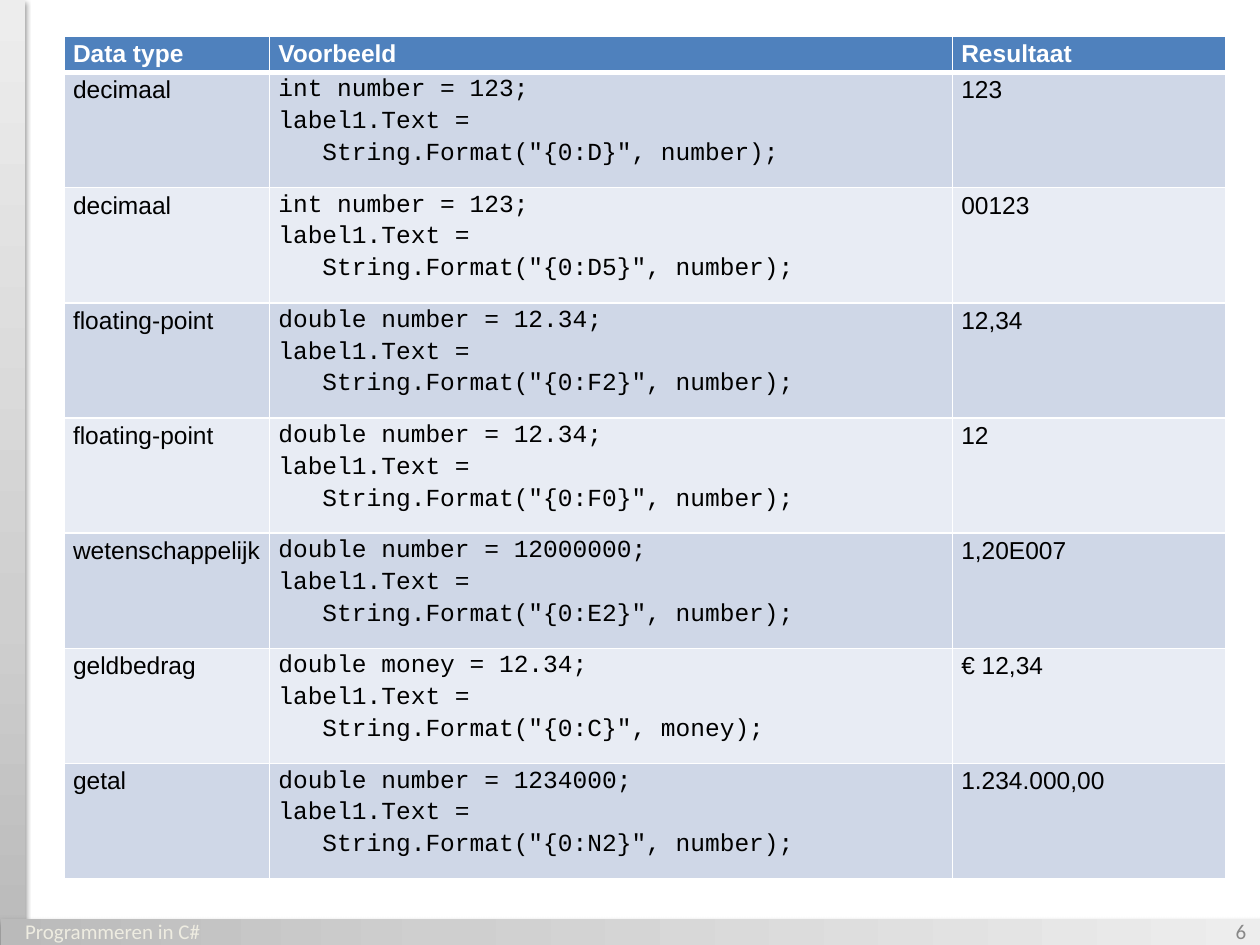
import dataclasses

import lxml.etree
import pptx
import pptx.dml.color
import pptx.enum.shapes
import pptx.enum.text
import pptx.oxml
import pptx.oxml.ns
import pptx.util


@dataclasses.dataclass(frozen=True)
class Theme:
    header_fill: str = "4F81BD"
    band_fills: tuple = ("CFD7E7", "E8ECF4")
    border: str = "FFFFFF"
    header_text: str = "FFFFFF"
    body_text: str = "000000"
    footer_text: str = "EEECE1"
    number_text: str = "888888"
    bar_stops: tuple = ((0, "BABABA"), (35, "CFCFCF"), (100, "EDEDED"))
    body_font: str = "Arial"
    code_font: str = "Courier New"
    footer_font: str = "Calibri"
    table_size: int = 14
    footer_size: int = 12


THEME = Theme()
WIDTH = pptx.util.Inches(10)
HEIGHT = pptx.util.Inches(7.5)
HEADINGS = ("Data type", "Voorbeeld", "Resultaat")
EXAMPLES = (
    ("decimaal", "int", "number", "123", "D", "123"),
    ("decimaal", "int", "number", "123", "D5", "00123"),
    ("floating-point", "double", "number", "12.34", "F2", "12,34"),
    ("floating-point", "double", "number", "12.34", "F0", "12"),
    ("wetenschappelijk", "double", "number", "12000000", "E2", "1,20E007"),
    ("geldbedrag", "double", "money", "12.34", "C", "€ 12,34"),
    ("getal", "double", "number", "1234000", "N2", "1.234.000,00"),
)


def across(percent):
    return round(WIDTH * percent / 100)


def down(percent):
    return round(HEIGHT * percent / 100)


def color(value):
    return pptx.dml.color.RGBColor.from_string(value)


def drawing_xml(xml):
    namespace = pptx.oxml.ns.nsdecls("a")
    return pptx.oxml.parse_xml(f"<a:root {namespace}>{xml}</a:root>")[0]


def format_text(paragraph, font_name, size, text_color, bold=False):
    for run in paragraph.runs:
        run.font.name = font_name
        run.font.size = pptx.util.Pt(size)
        run.font.bold = bold
        run.font.color.rgb = color(text_color)


def add_bar(slide, left, top, width, height, rotation=0):
    shape = slide.shapes.add_shape(
        pptx.enum.shapes.MSO_SHAPE.RECTANGLE, left, top, width, height
    )
    shape.rotation = rotation
    shape.line.fill.background()
    shape.fill.gradient()
    shape.fill.gradient_angle = 90
    properties = shape.element.spPr
    stop_list = properties.find(".//" + pptx.oxml.ns.qn("a:gsLst"))
    for stop in list(stop_list):
        stop_list.remove(stop)
    for position, value in THEME.bar_stops:
        stop_list.append(drawing_xml(
            f'<a:gs pos="{position * 1000}"><a:srgbClr val="{value}"/></a:gs>'
        ))
    properties.append(drawing_xml(
        f'<a:effectLst><a:outerShdw blurRad="{pptx.util.Pt(3.1)}" '
        f'dist="{pptx.util.Pt(1.6)}" dir="5400000" rotWithShape="0">'
        '<a:srgbClr val="000000"><a:alpha val="38000"/></a:srgbClr>'
        '</a:outerShdw></a:effectLst>'
    ))


def set_borders(cell, bottom, top):
    widths = {"lnL": 1, "lnR": 1, "lnT": top, "lnB": bottom}
    properties = cell._tc.get_or_add_tcPr()
    for side, width in widths.items():
        properties.append(drawing_xml(
            f'<a:{side} w="{pptx.util.Pt(width)}"><a:solidFill>'
            f'<a:srgbClr val="{THEME.border}"/></a:solidFill></a:{side}>'
        ))


def fill_cell(cell, text, row, column):
    header = row == 0
    cell.margin_left = cell.margin_right = pptx.util.Inches(0.07)
    cell.margin_top = cell.margin_bottom = 0
    set_borders(cell, bottom=3 if header else 1, top=3 if row == 1 else 1)
    cell.fill.solid()
    fill = THEME.header_fill if header else THEME.band_fills[(row - 1) % 2]
    cell.fill.fore_color.rgb = color(fill)
    paragraph = cell.text_frame.paragraphs[0]
    paragraph.text = text
    paragraph.line_spacing = 1.15
    is_code = column == 1 and not header
    format_text(
        paragraph,
        THEME.code_font if is_code else THEME.body_font,
        THEME.table_size,
        THEME.header_text if header else THEME.body_text,
        bold=header,
    )


def example_row(data_type, keyword, variable, value, code, result):
    lines = (
        f"{keyword} {variable} = {value};",
        "label1.Text = ",
        f'   String.Format("{{0:{code}}}", {variable});',
    )
    return data_type, "\v".join(lines), result


def add_format_table(slide):
    rows = [HEADINGS] + [example_row(*example) for example in EXAMPLES]
    column_widths = [across(share) for share in (16.3, 54.2, 21.7)]
    row_heights = [down(3.8)] + [down(12.19)] * len(EXAMPLES)
    table = slide.shapes.add_table(
        len(rows), len(HEADINGS), across(5.1), down(3.87),
        sum(column_widths), sum(row_heights),
    ).table
    for column, width in zip(table.columns, column_widths):
        column.width = width
    for row_index, values in enumerate(rows):
        table.rows[row_index].height = row_heights[row_index]
        for column_index, text in enumerate(values):
            cell = table.cell(row_index, column_index)
            fill_cell(cell, text, row_index, column_index)


def add_footer_text(slide, text, left, width, alignment, text_color):
    box = slide.shapes.add_textbox(left, down(95.87), width, down(5.33))
    frame = box.text_frame
    frame.word_wrap = True
    frame.vertical_anchor = pptx.enum.text.MSO_ANCHOR.MIDDLE
    frame.text = text
    paragraph = frame.paragraphs[0]
    paragraph.alignment = alignment
    format_text(paragraph, THEME.footer_font, THEME.footer_size, text_color)


def main():
    presentation = pptx.Presentation()
    presentation.slide_width = WIDTH
    presentation.slide_height = HEIGHT
    slide = presentation.slides.add_slide(presentation.slide_layouts[6])
    align = pptx.enum.text.PP_ALIGN
    add_bar(slide, 0, 0, across(2), HEIGHT)
    add_bar(slide, across(49), down(32), across(2.1), WIDTH, rotation=90)
    add_format_table(slide)
    add_footer_text(slide, "Programmeren in C#", across(-6.9), across(31.7),
                    align.CENTER, THEME.footer_text)
    add_footer_text(slide, "6", across(76.6), across(23.3),
                    align.RIGHT, THEME.number_text)
    presentation.save("out.pptx")


if __name__ == "__main__":
    main()
